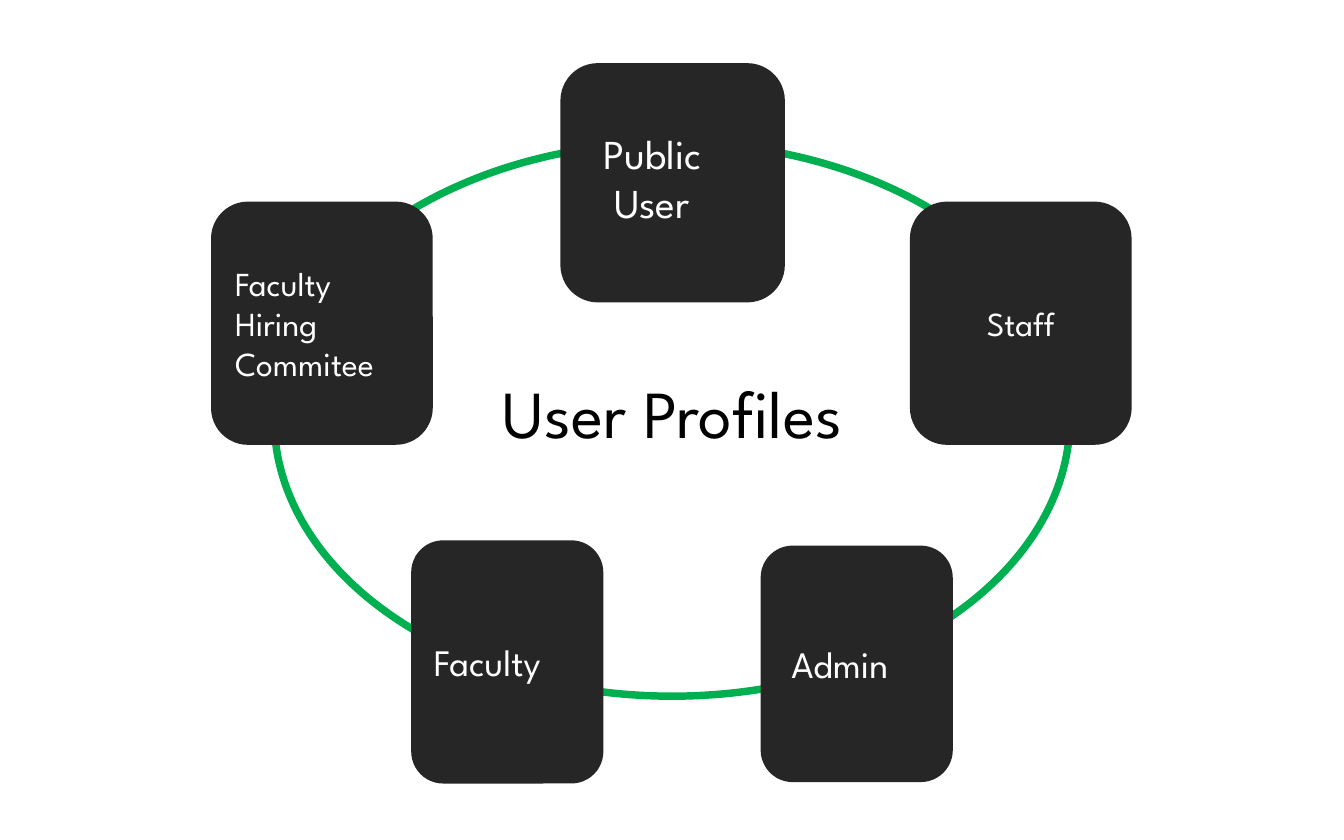
from pptx import Presentation
from pptx.dml.color import RGBColor
from pptx.enum.shapes import MSO_SHAPE
from pptx.enum.text import MSO_ANCHOR, MSO_AUTO_SIZE, PP_ALIGN
from pptx.util import Inches, Pt

BLACK = RGBColor(0, 0, 0)
WHITE = RGBColor(0xFF, 0xFF, 0xFF)
DARK = RGBColor(0x26, 0x26, 0x26)
GREEN = RGBColor(0x00, 0xB0, 0x50)
FONT = "League Spartan"
WIDE, HIGH = Inches(10), Inches(6.25)

SIDE = (16.5, 28.96)
CARDS = [
    (67.7, 24, *SIDE, ["Staff"], dict(size=18, align=PP_ALIGN.CENTER)),
    (41.7, 7.52, 16.7, 28.48, ["Public", "User"],
     dict(size=22, dents=(0.14, 0.22), base=0.13)),
    (56.6, 64.96, 14.3, 28.16, ["Admin"], dict(size=20, dents=(0.06,))),
    (15.7, 24, *SIDE, ["Faculty", "Hiring", "Commitee"], dict(size=18)),
    (30.6, 64.32, 14.3, 28.96, ["Faculty"], dict(size=20)),
]


def share(box, left, top, width, height):
    x, y, w, h = box
    return (int(x + w * left / 100), int(y + h * top / 100),
            int(w * width / 100), int(h * height / 100))


def write(shape, lines, size=18, color=WHITE, align=PP_ALIGN.LEFT,
          dents=(), base=0.05, wrap=True):
    frame = shape.text_frame
    frame.auto_size = MSO_AUTO_SIZE.NONE
    frame.word_wrap = wrap
    frame.vertical_anchor = MSO_ANCHOR.MIDDLE
    frame.margin_left = frame.margin_right = Inches(0.1)
    frame.margin_top, frame.margin_bottom = Inches(0.05), Inches(base)
    frame.text = "\n".join(lines)
    for para in frame.paragraphs:
        para.alignment = align
        para.font.name = FONT
        para.font.size = Pt(size)
        para.font.color.rgb = color
    for para, dent in zip(frame.paragraphs, dents):
        props = para._p.get_or_add_pPr()
        props.set("marL", str(Inches(dent)))
        props.set("indent", "0")


def add_title(slide, box):
    title = slide.shapes.title
    title.left, title.top, title.width, title.height = share(
        box, 33.5, 43.36, 33.1, 11.2)
    write(title, ["User Profiles"], size=36, color=BLACK,
          align=PP_ALIGN.CENTER, wrap=False)


def add_ring(slide, box):
    ring = slide.shapes.add_shape(
        MSO_SHAPE.OVAL, *share(box, 20.4, 16.96, 59.2, 65.92))
    ring.shadow.inherit = False
    ring.fill.background()
    ring.line.color.rgb = GREEN
    ring.line.width = Pt(4)


def add_cards(slide, box):
    for left, top, width, height, lines, style in CARDS:
        card = slide.shapes.add_shape(
            MSO_SHAPE.ROUNDED_RECTANGLE,
            *share(box, left, top, width, height))
        card.adjustments[0] = 1 / 6
        card.shadow.inherit = False
        card.fill.solid()
        card.fill.fore_color.rgb = DARK
        card.line.fill.background()
        write(card, lines, **style)


def main():
    deck = Presentation()
    deck.slide_width, deck.slide_height = WIDE, HIGH
    slide = deck.slides.add_slide(deck.slide_layouts[5])
    page = (0, 0, WIDE, HIGH)
    add_title(slide, page)
    add_ring(slide, page)
    add_cards(slide, page)
    deck.save("out.pptx")


if __name__ == "__main__":
    main()
